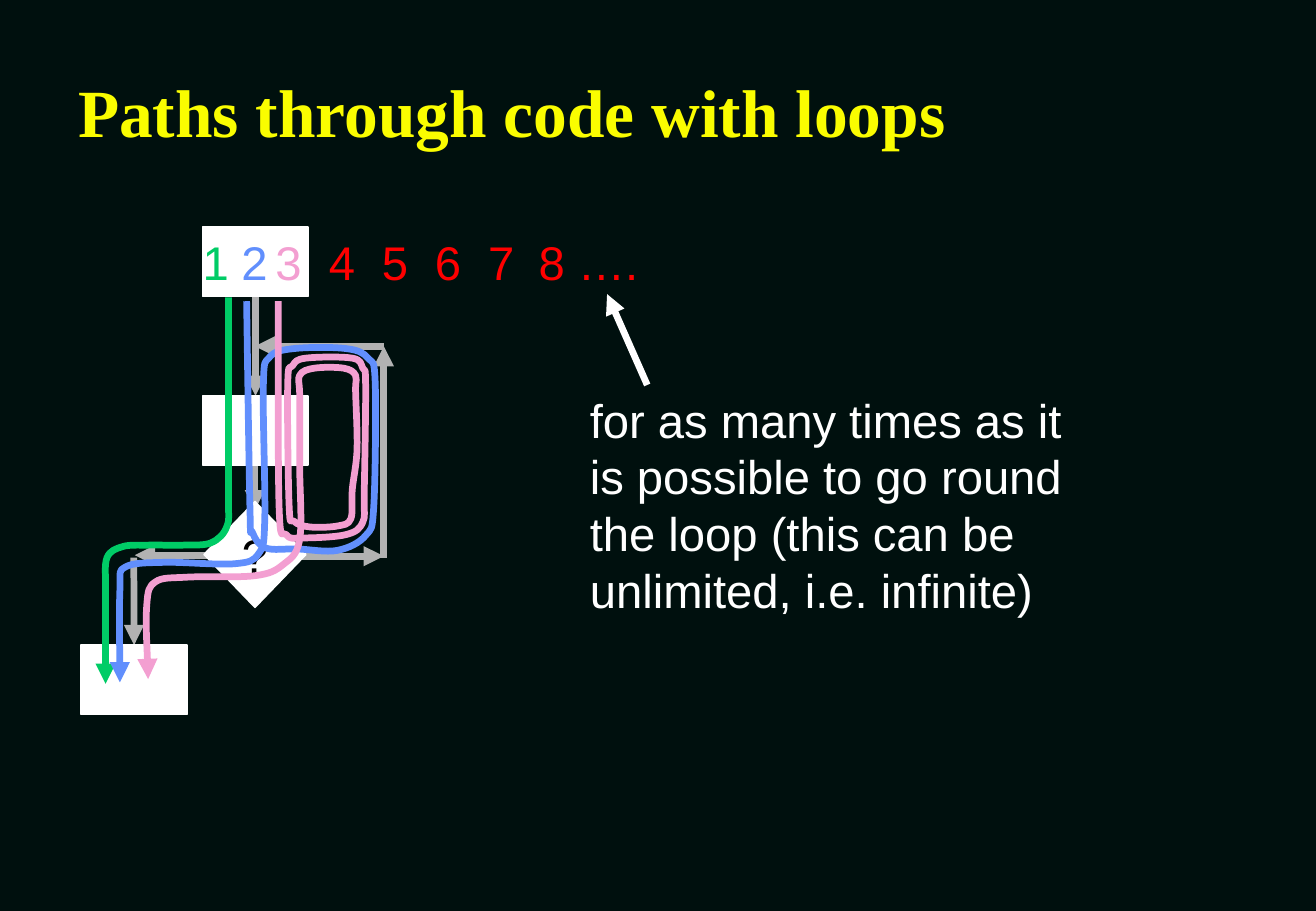
from lxml import etree
from pptx import Presentation
from pptx.dml.color import RGBColor
from pptx.enum.shapes import MSO_CONNECTOR, MSO_SHAPE
from pptx.enum.text import MSO_ANCHOR, MSO_AUTO_SIZE, PP_ALIGN
from pptx.oxml.ns import qn
from pptx.util import Cm, Pt

RECT, DIAMOND = MSO_SHAPE.RECTANGLE, MSO_SHAPE.DIAMOND
STRAIGHT = MSO_CONNECTOR.STRAIGHT
LEFT, CENTER = PP_ALIGN.LEFT, PP_ALIGN.CENTER
MIDDLE, TOP = MSO_ANCHOR.MIDDLE, MSO_ANCHOR.TOP
NO_FIT = MSO_AUTO_SIZE.NONE
SIDE_TOP, SIDE_BOTTOM = 0, 2

BACKGROUND, WHITE, BLACK = "00100E", "FFFFFF", "000000"
YELLOW, GREY, RED = "FAFD00", "B2B2B2", "FF0000"
GREEN, BLUE, PINK = "00CC66", "618FFD", "F39FD1"

BOX_W, BOX_H = 2.21, 1.45
NUMBER_TOP = 4.75

# Points in centimetres that each path passes through
ONCE = [(4.78, 6.22), (4.78, 7.52), (4.78, 10.31), (4.75, 11), (4.42, 11.35),
        (3.84, 11.4), (3.12, 11.4), (2.57, 11.43), (2.24, 11.66),
        (2.21, 12.29), (2.21, 13.08), (2.21, 14.3)]
TWICE = [(5.16, 6.3), (5.23, 10.64), (5.28, 11.13), (5.56, 11.46),
         (6.22, 11.48), (7.06, 11.51), (7.65, 11.2), (7.82, 10.59),
         (7.85, 8), (7.7, 7.49), (7.24, 7.29), (6.15, 7.29), (5.64, 7.47),
         (5.51, 8.05), (5.54, 10.85), (5.41, 11.58), (4.9, 11.79),
         (3.43, 11.76), (2.62, 11.86), (2.51, 12.32), (2.51, 14.27)]
THREE_TIMES = [(5.82, 6.3), (5.84, 10.62), (5.99, 11.18), (6.32, 11.25),
               (7.24, 11.18), (7.59, 10.92), (7.62, 10.31), (7.65, 8.05),
               (7.59, 7.7), (7.37, 7.49), (6.4, 7.49), (6.12, 7.65),
               (6.02, 8.03), (6.05, 10.59), (6.15, 10.9), (6.48, 11.02),
               (7.06, 11), (7.34, 10.85), (7.37, 10.24), (7.47, 9.4),
               (7.44, 8.18), (7.44, 7.85), (7.19, 7.7), (6.58, 7.7),
               (6.27, 7.85), (6.27, 8.28), (6.27, 9.73), (6.27, 11.28),
               (5.92, 11.81), (5.33, 12.04), (3.91, 12.07), (3.25, 12.17),
               (3.07, 12.67), (3.1, 14.2)]


def rgb(color):
    return RGBColor.from_string(color)


def write(sp, text, color, size=28, font="Arial", bold=False, align=LEFT,
          anchor=TOP, wrap=False):
    tf = sp.text_frame
    tf.text = text
    tf.auto_size = NO_FIT
    tf.word_wrap = wrap
    tf.vertical_anchor = anchor
    for p in tf.paragraphs:
        p.alignment = align
        p.font.name = font
        p.font.size = Pt(size)
        p.font.bold = bold
        p.font.color.rgb = rgb(color)


def add_text(slide, left, top, width, height, text, color):
    sp = slide.shapes.add_textbox(Cm(left), Cm(top), Cm(width), Cm(height))
    write(sp, text, color)


def add_node(slide, left, top, width=BOX_W, height=BOX_H, kind=RECT):
    sp = slide.shapes.add_shape(kind, Cm(left), Cm(top), Cm(width), Cm(height))
    sp.shadow.inherit = False
    sp.fill.solid()
    sp.fill.fore_color.rgb = rgb(WHITE)
    sp.line.color.rgb = rgb(WHITE)
    sp.line.width = Pt(1)
    return sp


def style_arrow(sp, color):
    sp.line.color.rgb = rgb(color)
    sp.line.width = Pt(4)
    ln = sp.line._get_or_add_ln()
    etree.SubElement(ln, qn("a:tailEnd"), type="triangle")


def add_arrow(slide, x1, y1, x2, y2, color=GREY):
    c = slide.shapes.add_connector(STRAIGHT, Cm(x1), Cm(y1), Cm(x2), Cm(y2))
    style_arrow(c, color)
    etree.SubElement(c._element.spPr, qn("a:effectLst"))
    return c


def curve_segments(sp):
    """Turn the straight segments into Bézier curves through the same points."""
    outline = sp._element.spPr.find(".//" + qn("a:path"))
    knots = [(int(pt.get("x")), int(pt.get("y")))
             for pt in outline.iter(qn("a:pt"))]
    padded = [knots[0], *knots, knots[-1]]
    segments = outline.findall(qn("a:lnTo"))
    for i, segment in enumerate(segments):
        before, start, end, after = padded[i:i + 4]
        leave = [s + (e - b) / 6 for b, s, e in zip(before, start, end)]
        arrive = [e - (a - s) / 6 for s, e, a in zip(start, end, after)]
        curve = etree.Element(qn("a:cubicBezTo"))
        for x, y in (leave, arrive, end):
            etree.SubElement(curve, qn("a:pt"), x=str(round(x)),
                             y=str(round(y)))
        outline.replace(segment, curve)


def add_path(slide, knots, color):
    points = [(Cm(x), Cm(y)) for x, y in knots]
    builder = slide.shapes.build_freeform(*points[0])
    builder.add_line_segments(points[1:], close=False)
    sp = builder.convert_to_shape()
    curve_segments(sp)
    sp.shadow.inherit = False
    sp.fill.background()
    style_arrow(sp, color)


def add_title(slide, text):
    title = slide.shapes.title
    title.left, title.top = Cm(1.38), Cm(1.47)
    title.width, title.height = Cm(23.39), Cm(1.7)
    write(title, text, YELLOW, size=40, font="Times New Roman", bold=True,
          anchor=MIDDLE, wrap=True)


def add_flowchart(slide):
    add_arrow(slide, 5.33, 8.99, 5.33, 10.67)
    add_arrow(slide, 8.03, 7.24, 5.33, 7.24)
    enter = add_arrow(slide, 5.33, 6.2, 5.33, 8.28)
    add_arrow(slide, 8.03, 11.66, 8.03, 7.24)
    add_arrow(slide, 5.33, 11.61, 2.82, 11.61)
    add_arrow(slide, 6.1, 11.63, 8.03, 11.63)
    entry = add_node(slide, 4.24, NUMBER_TOP)
    body = add_node(slide, 4.24, 8.28)
    leave = add_arrow(slide, 2.8, 11.66, 2.8, 13.49)
    after = add_node(slide, 1.7, 13.49)
    test = add_node(slide, 4.27, 10.49, 2.13, 2.21, DIAMOND)
    write(test, "?", BLACK, align=CENTER, anchor=MIDDLE)
    enter.begin_connect(entry, SIDE_BOTTOM)
    enter.end_connect(body, SIDE_TOP)
    leave.end_connect(after, SIDE_TOP)


def main():
    prs = Presentation()
    prs.slide_width, prs.slide_height = Cm(27.53), Cm(19.05)
    slide = prs.slides.add_slide(prs.slide_layouts[5])
    slide.background.fill.solid()
    slide.background.fill.fore_color.rgb = rgb(BACKGROUND)

    add_title(slide, "Paths through code with loops")
    add_flowchart(slide)
    paths = [("1", 3.99, ONCE, GREEN), ("2", 4.8, TWICE, BLUE),
             ("3", 5.51, THREE_TIMES, PINK)]
    for number, left, knots, color in paths:
        add_path(slide, knots, color)
        add_text(slide, left, NUMBER_TOP, 1.05, BOX_H, number, color)
    for i, number in enumerate("4567"):
        add_text(slide, 6.63 + 1.11 * i, NUMBER_TOP, 1.05, BOX_H, number, RED)
    add_text(slide, 11.02, NUMBER_TOP, 2.6, BOX_H, "8 ….", RED)

    add_text(slide, 12.09, 8.05, 10.36, 5,
             "for as many times as it\nis possible to go round\n"
             "the loop (this can be\nunlimited, i.e. infinite)", WHITE)
    add_arrow(slide, 13.54, 8.05, 12.7, 6.15, WHITE)
    prs.save("out.pptx")


if __name__ == "__main__":
    main()
